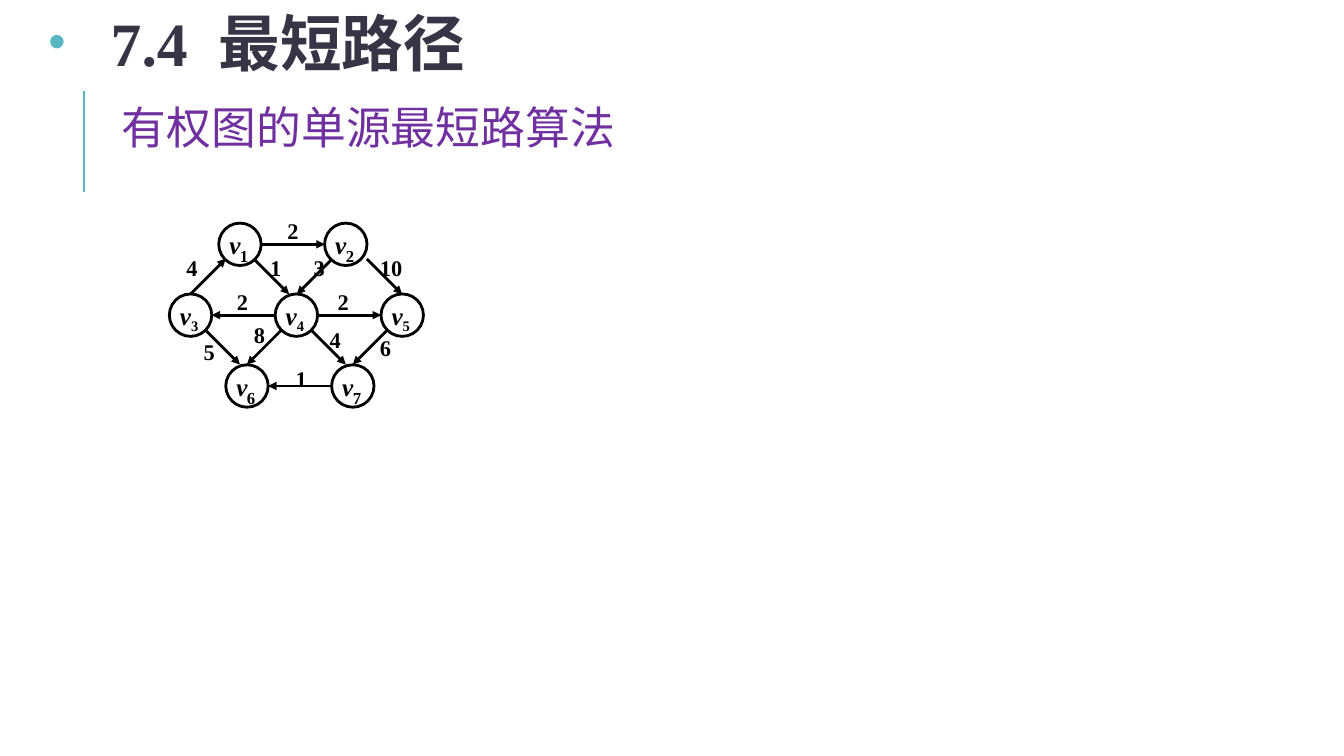
import pptx
import pptx.dml.color
import pptx.enum.shapes
import pptx.enum.text
import pptx.oxml.ns
import pptx.util
from lxml import etree

Pt = pptx.util.Pt
FONT = "Times New Roman"
BLACK, TEAL, PURPLE, NAVY = "000000", "58B6C0", "7030A0", "373545"


def color(hex_string):
    return pptx.dml.color.RGBColor.from_string(hex_string)


def add_text(left, top, width, height, runs, insets=(0, 2, 0, 0)):
    """Add a text box; each run is (text, size, color, bold, italic)."""
    box = slide.shapes.add_textbox(Pt(left), Pt(top), Pt(width), Pt(height))
    frame = box.text_frame
    frame.word_wrap = True
    frame.margin_left, frame.margin_top, frame.margin_right, frame.margin_bottom = map(Pt, insets)
    for text, size, hex_string, bold, italic in runs:
        run = frame.paragraphs[0].add_run()
        run.text = text
        run.font.name = FONT
        run.font.size = Pt(size)
        run.font.bold = bold
        run.font.italic = italic
        run.font.color.rgb = color(hex_string)
    return box


presentation = pptx.Presentation()
presentation.slide_width = Pt(960)
presentation.slide_height = Pt(540)
slide = presentation.slides.add_slide(presentation.slide_layouts[6])
qn = pptx.oxml.ns.qn

# Title with a bullet; the space between number and words is widened
title = add_text(27.4, 0, 796, 66, [(text, 44, NAVY, True, False) for text in ("7.4", " ", "最短路径")],
                 (7.2, 3.6, 7.2, 3.6))
title_paragraph = title.text_frame.paragraphs[0]
title_paragraph.runs[1].font._element.set("spc", "1100")
properties = title_paragraph._p.get_or_add_pPr()
properties.set("marL", str(Pt(44.6)))
properties.set("indent", str(-Pt(44.6)))
bullet_color = etree.SubElement(properties, qn("a:buClr"))
etree.SubElement(bullet_color, qn("a:srgbClr")).set("val", TEAL)
etree.SubElement(properties, qn("a:buSzPct")).set("val", "80000")
etree.SubElement(properties, qn("a:buFont")).set("typeface", "Arial")
etree.SubElement(properties, qn("a:buChar")).set("char", "•")

# Subtitle
subtitle = add_text(87.1, 69.8, 508, 39.6, [("有权图的单源最短路算法", 32, PURPLE, False, False)])
subtitle.text_frame.vertical_anchor = pptx.enum.text.MSO_ANCHOR.MIDDLE

# Graph nodes: rows of equally spaced circles
RADIUS, COLUMN_STEP, ROW_STEP = 15.15, 75.6, 50.6
node_rows = [(171.4, "12"), (136.1, "345"), (176.4, "67")]
for row, (first_x, numbers) in enumerate(node_rows):
    center_y = 174.5 + row * ROW_STEP
    for column, number in enumerate(numbers):
        center_x = first_x + column * COLUMN_STEP
        circle = slide.shapes.add_shape(
            pptx.enum.shapes.MSO_SHAPE.OVAL, Pt(center_x - RADIUS), Pt(center_y - RADIUS),
            Pt(2 * RADIUS), Pt(2 * RADIUS))
        circle.shadow.inherit = False
        circle.fill.background()
        circle.line.color.rgb = color(BLACK)
        circle.line.width = Pt(2)
        letter = ("v", 18, BLACK, True, True)
        left, top = center_x - 7.6, center_y - 12.6
        if row == 1:
            # The middle row sets its numbers as true subscripts
            label = add_text(left, top, 16, 24, [letter, (number, 18, BLACK, True, False)])
            label.text_frame.paragraphs[0].runs[1].font._element.set("baseline", "-23000")
        else:
            add_text(left, top, 10, 24, [letter])
            add_text(center_x, center_y - 1, 8, 16.5, [(number, 12, BLACK, True, False)])

# Edges: weight, start, end, left and top of the weight
edges = [
    ("2", (186.5, 174.5), (232, 174.5), (205.2, 153.4)),     # v1 to v2
    ("4", (136.1, 210), (161.3, 184.8), (133.2, 179.3)),     # v3 to v1
    ("1", (181.4, 185), (206.6, 210.2), (193, 179.3)),       # v1 to v4
    ("3", (237.2, 185), (212, 210.2), (224, 179.3)),         # v2 to v4
    ("10", (262, 185), (287.2, 210.2), (271.4, 179.3)),      # v2 to v5
    ("2", (196.6, 225.1), (151.2, 225.1), (169.2, 203.8)),   # v4 to v3
    ("2", (226.8, 225.1), (272.2, 225.1), (241.2, 203.8)),   # v4 to v5
    ("5", (146.2, 235.2), (171.4, 260.4), (145.4, 239.8)),   # v3 to v6
    ("8", (201.6, 235.2), (176.4, 260.4), (181.4, 227.5)),   # v4 to v6
    ("4", (221.8, 235.2), (247, 260.4), (235.4, 231.1)),     # v4 to v7
    ("6", (277.2, 235.2), (252, 260.4), (271.4, 236.9)),     # v5 to v7
    ("1", (236.9, 275.7), (191.5, 275.7), (211.2, 258.6)),   # v7 to v6
]
divider = ((59.8, 136.8), (59.8, 64.8))
lines = [(start, end, BLACK, 2) for _, start, end, _ in edges] + [(*divider, TEAL, 1.5)]
for start, end, hex_string, width in lines:
    connector = slide.shapes.add_connector(
        pptx.enum.shapes.MSO_CONNECTOR.STRAIGHT, *map(Pt, start + end))
    connector.line.color.rgb = color(hex_string)
    connector.line.width = Pt(width)
    if hex_string == BLACK:
        etree.SubElement(connector.line._get_or_add_ln(), qn("a:tailEnd")).set("type", "triangle")
    etree.SubElement(connector._element.spPr, qn("a:effectLst"))

# Edge weights
for weight, _, _, (left, top) in edges:
    add_text(left, top, 10 * len(weight), 21.6, [(weight, 16, BLACK, True, False)])

presentation.save("out.pptx")
